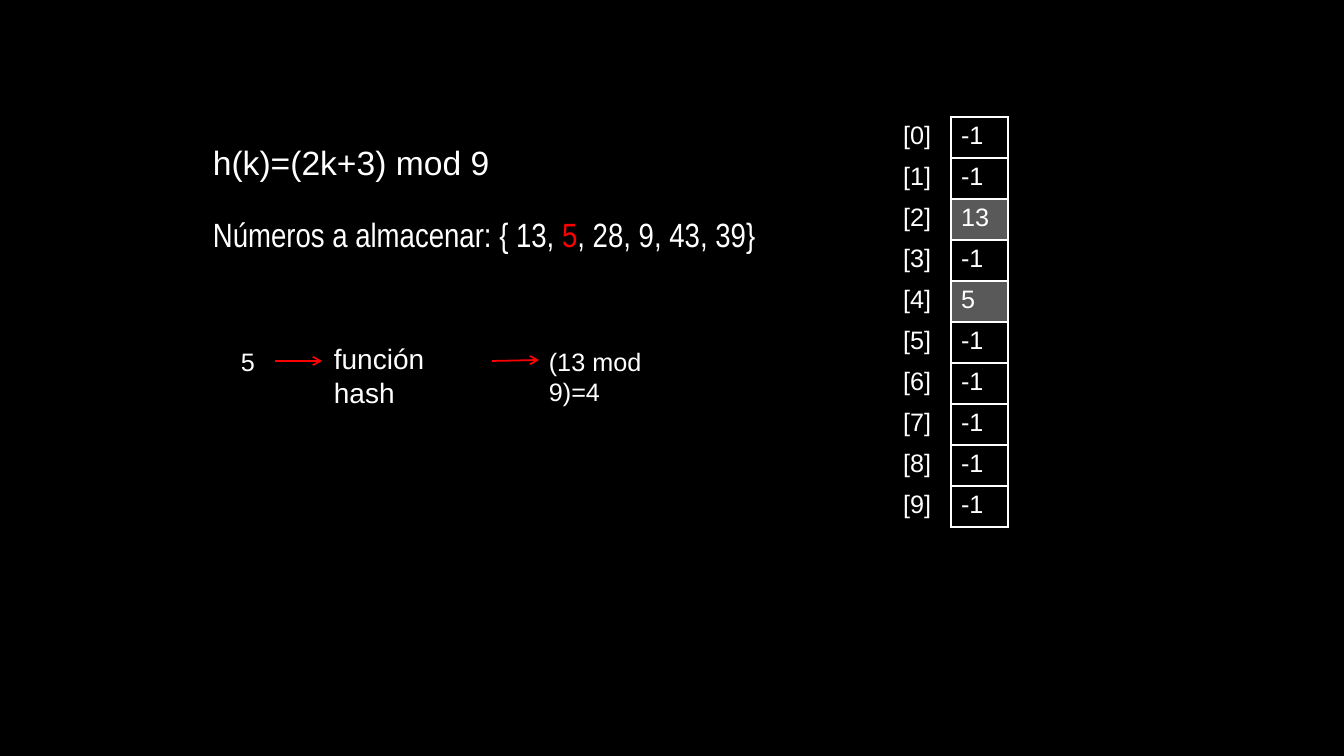
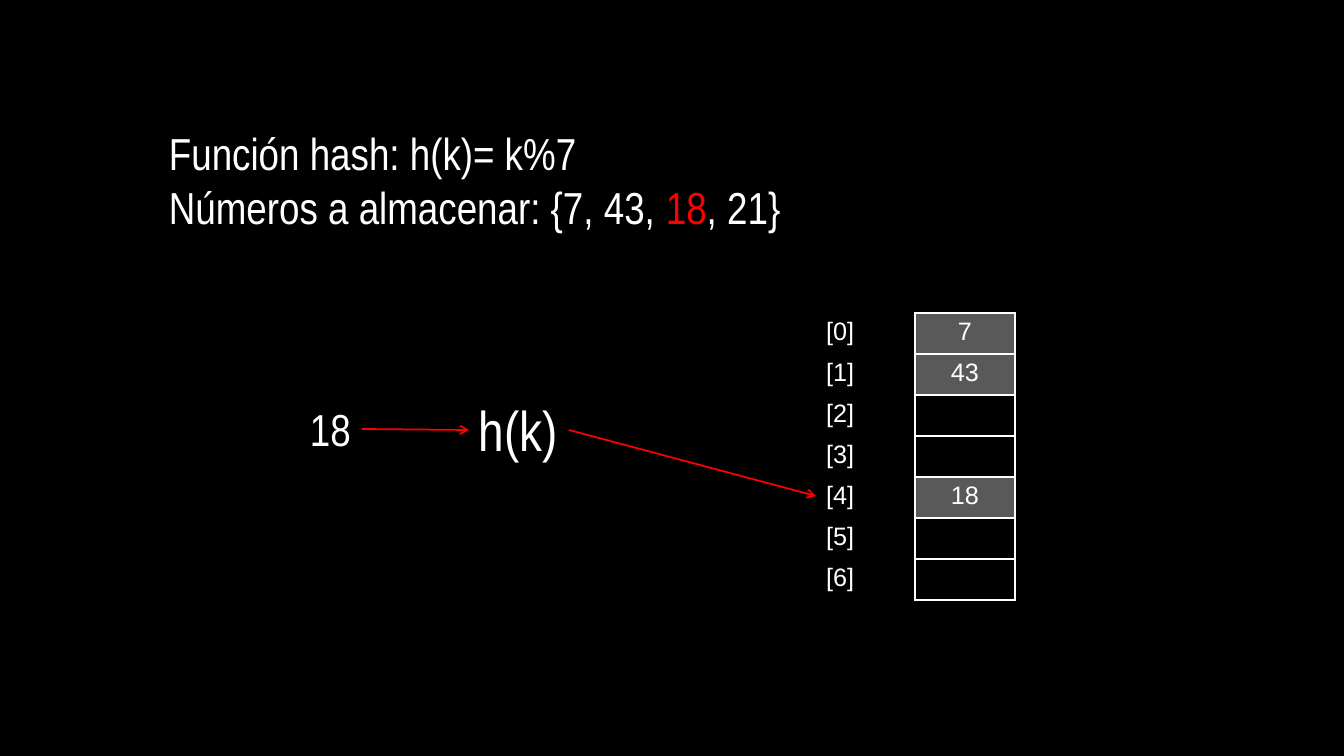
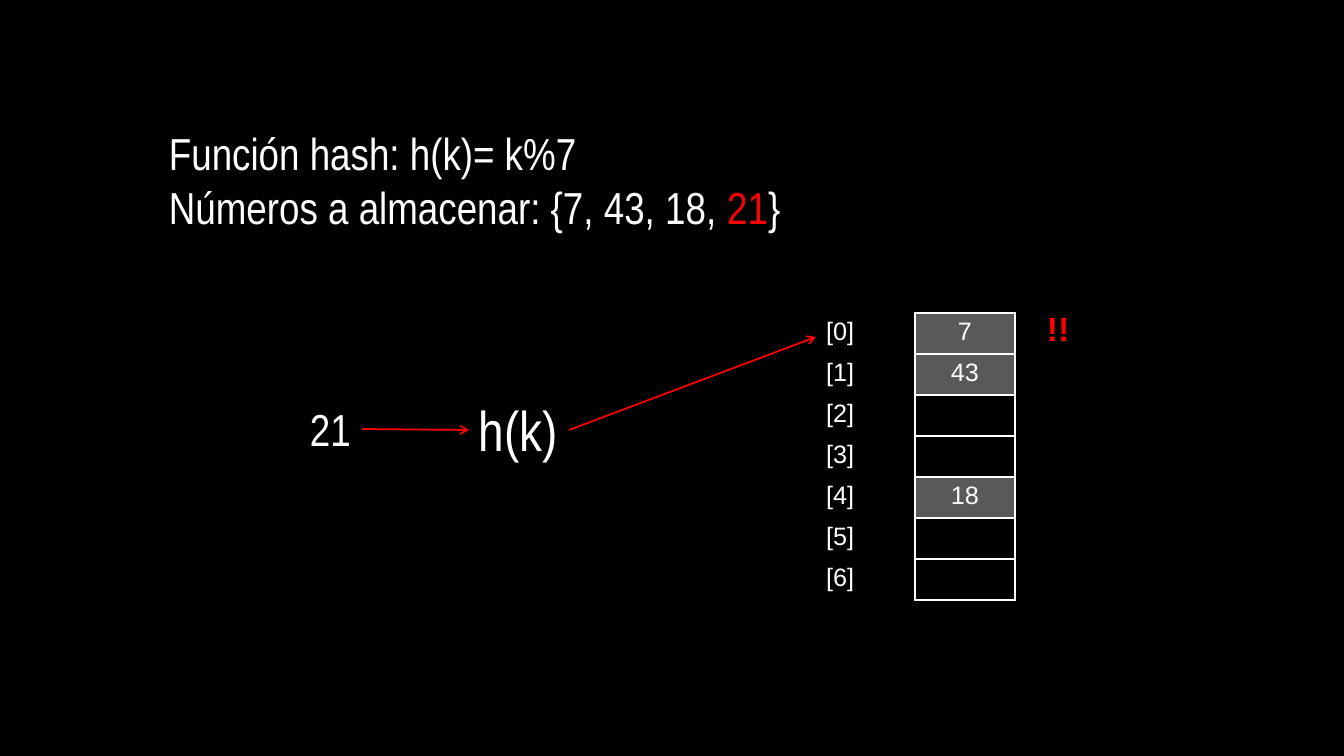
from lxml.etree import SubElement
from pptx import Presentation
from pptx.dml.color import RGBColor
from pptx.enum.shapes import MSO_CONNECTOR, MSO_SHAPE
from pptx.enum.text import MSO_ANCHOR, MSO_AUTO_SIZE, PP_ALIGN
from pptx.oxml.ns import qn
from pptx.util import Emu, Pt

PX = 914400 / 100.8
BLACK = RGBColor(0x00, 0x00, 0x00)
WHITE = RGBColor(0xFF, 0xFF, 0xFF)
RED = RGBColor(0xFF, 0x00, 0x00)
GREY = RGBColor(0x59, 0x59, 0x59)
ARIAL, NARROW = "Arial", "Arial Narrow"
NO_STYLE = "{2D5ABB26-0587-4C30-8999-92F81FD0307C}"
ROW_H = 41


def px(*lengths):
    return [Emu(round(n * PX)) for n in lengths]


def add_text(s, box, font, size, paragraphs, framed=False, bold=False):
    """Each paragraph is a list of runs (text, colour)."""
    if framed:
        sp = s.shapes.add_shape(MSO_SHAPE.RECTANGLE, *px(*box))
        sp.shadow.inherit = False
        sp.fill.solid()
        sp.fill.fore_color.rgb = BLACK
        sp.line.color.rgb = BLACK
        sp.line.width = Pt(0.75)
    else:
        sp = s.shapes.add_textbox(*px(*box))
    tf = sp.text_frame
    tf.word_wrap = True
    tf.auto_size = MSO_AUTO_SIZE.SHAPE_TO_FIT_TEXT
    tf.vertical_anchor = MSO_ANCHOR.TOP
    for i, runs in enumerate(paragraphs):
        p = tf.paragraphs[0] if i == 0 else tf.add_paragraph()
        p.alignment = PP_ALIGN.LEFT
        for text, color in runs:
            r = p.add_run()
            r.text = text
            r.font.name, r.font.size, r.font.bold = font, Pt(size), bold
            r.font.color.rgb = color


prs = Presentation()
prs.slide_width, prs.slide_height = px(1344, 756)
slides = []
for _ in range(3):
    s = prs.slides.add_slide(prs.slide_layouts[6])
    s.background.fill.solid()
    s.background.fill.fore_color.rgb = BLACK
    slides.append(s)
first, *steps = slides
arrows, tables = [], []

# Slide 1: storing 5 with h(k)=(2k+3) mod 9
add_text(first, (203, 137, 299, 50), ARIAL, 24, [[("h(k)=(2k+3) mod 9", WHITE)]], framed=True)
add_text(first, (203, 209, 575, 50), NARROW, 24,
         [[("Números a almacenar: { 13, ", WHITE), ("5", RED), (", 28, 9, 43, 39}", WHITE)]])
add_text(first, (231, 341, 39, 40), ARIAL, 18, [[("5", WHITE)]])
add_text(first, (324, 337, 174, 44), ARIAL, 20, [[("función hash", WHITE)]], framed=True)
add_text(first, (539, 341, 167, 40), ARIAL, 18, [[("(13 mod 9)=4", WHITE)]])
arrows += [(first, 275, 361, 322, 361), (first, 492, 361, 539, 360)]
values = ["13" if i == 2 else "5" if i == 4 else "-1" for i in range(10)]
tables.append((first, 893, 117, (58, 57), values, PP_ALIGN.LEFT))

# Slides 2 and 3: storing 18 and 21 with h(k)=k%7
keys = ["7", "43", "18", "21"]
for s, key, target_y in zip(steps, ("18", "21"), (496, 337)):
    runs = [("Números a almacenar: {", WHITE)]
    for k in keys:
        if k != keys[0]:
            runs.append((", ", WHITE))
        runs.append((k, RED if k == key else WHITE))
    runs.append(("}", WHITE))
    add_text(s, (159, 121, 657, 119), NARROW, 32, [[("Función hash: h(k)= k%7", WHITE)], runs])
    add_text(s, (300, 397, 63, 65), NARROW, 32, [[(key, WHITE)]])
    add_text(s, (469, 391, 101, 78), NARROW, 40, [[("h(k)", WHITE)]], framed=True)
    arrows += [(s, 362, 429, 469, 430), (s, 569, 430, 816, target_y)]
    tables.append((s, 816, 313, (99, 100), ["7", "43", "", "", "18", "", ""], PP_ALIGN.CENTER))

# Collision mark
add_text(steps[1], (1037, 303, 44, 50), ARIAL, 24, [[("!!", RED)]], bold=True)

# Arrows
for s, *ends in arrows:
    c = s.shapes.add_connector(MSO_CONNECTOR.STRAIGHT, *px(*ends))
    c.line.color.rgb = RED
    c.line.width = Pt(1.25)
    spPr = c._element.spPr
    SubElement(spPr.find(qn("a:ln")), qn("a:tailEnd"), type="arrow")
    SubElement(spPr, qn("a:effectLst"))

# Hash tables: index column and bordered value column
for s, x, y, widths, values, align in tables:
    frame = s.shapes.add_table(len(values), 2, *px(x, y, sum(widths), ROW_H * len(values)))
    table = frame.table
    table.first_row = table.horz_banding = False
    table._tbl.tblPr.find(qn("a:tableStyleId")).text = NO_STYLE
    for column, width in zip(table.columns, px(*widths)):
        column.width = width
    for i, value in enumerate(values):
        table.rows[i].height = px(ROW_H)[0]
        for j, text in enumerate((f"[{i}]", value)):
            cell = table.cell(i, j)
            tcPr = cell._tc.get_or_add_tcPr()
            for side in ("lnL", "lnR", "lnT", "lnB") if j else ("lnR",):
                ln = SubElement(tcPr, qn(f"a:{side}"), w=str(Pt(1)))
                fill = SubElement(ln, qn("a:solidFill"))
                SubElement(fill, qn("a:srgbClr"), val=str(WHITE))
            if j and value not in ("", "-1"):
                cell.fill.solid()
                cell.fill.fore_color.rgb = GREY
            else:
                cell.fill.background()
            p = cell.text_frame.paragraphs[0]
            p.alignment = align if j else PP_ALIGN.LEFT
            if text:
                r = p.add_run()
                r.text = text
                r.font.name, r.font.size = ARIAL, Pt(18)
                r.font.color.rgb = WHITE

prs.save("out.pptx")
